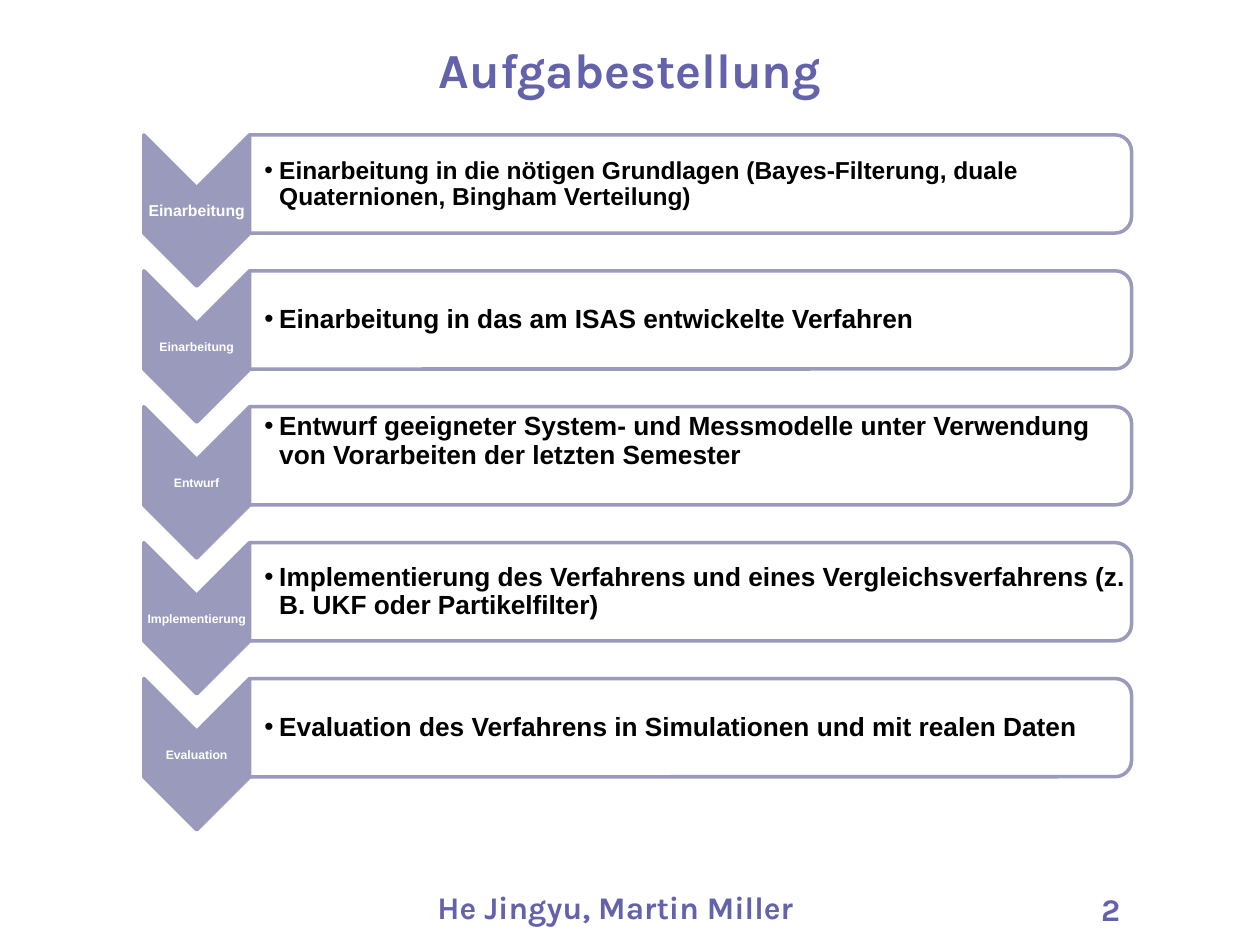
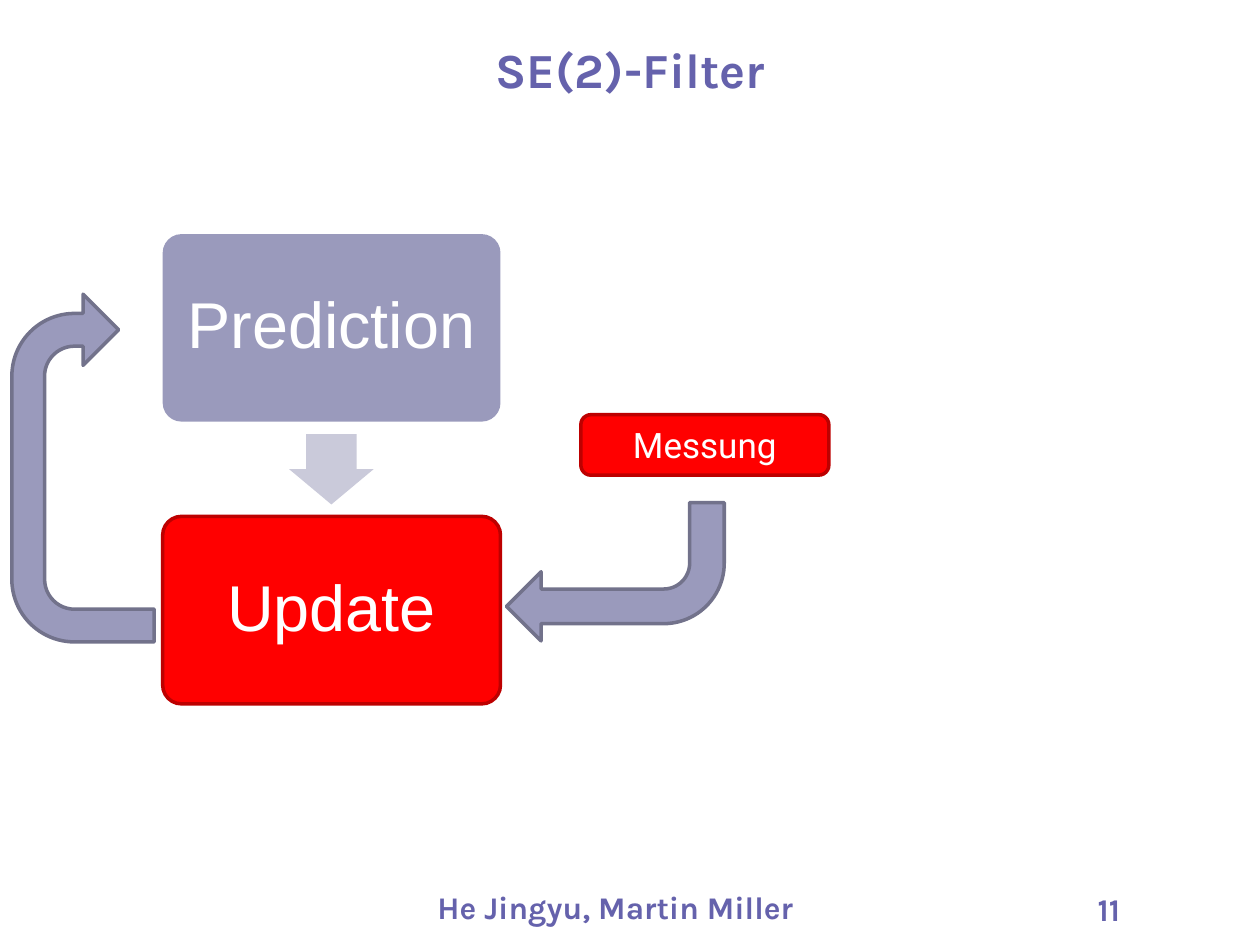
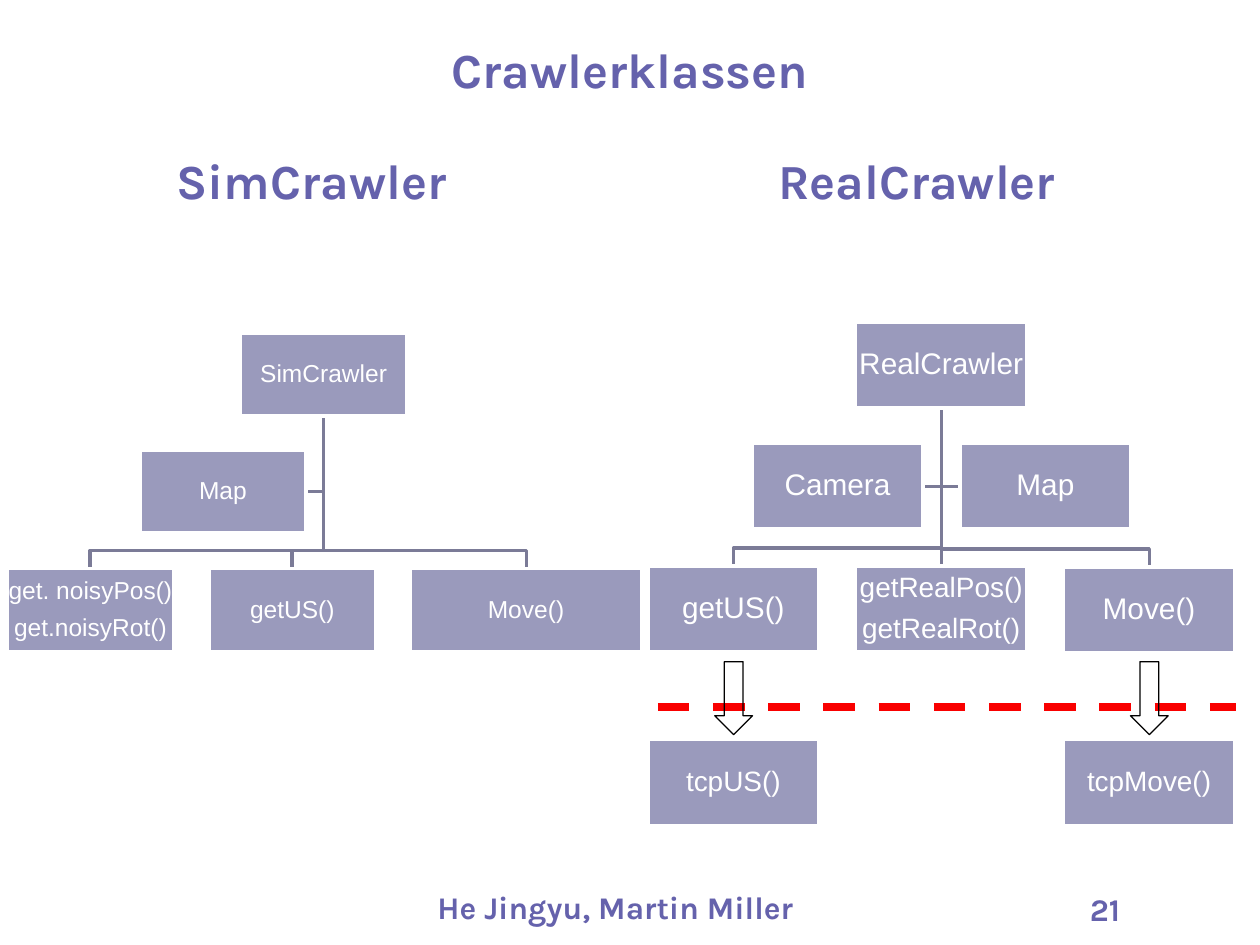
from lxml import etree
from pptx import Presentation
from pptx import util as u
from pptx.dml.color import RGBColor
from pptx.enum import dml, shapes, text
from pptx.oxml.ns import qn

VIOLET = RGBColor(0x65, 0x62, 0xAC)
LAVENDER = RGBColor(0x9A, 0x9A, 0xBC)
PALE = RGBColor(0xCA, 0xCA, 0xDA)
SLATE = RGBColor(0x72, 0x72, 0x8B)
LINK = RGBColor(0x7B, 0x7B, 0x97)
RED = RGBColor(0xFF, 0x00, 0x00)
DARK_RED = RGBColor(0xBD, 0x00, 0x00)
BORDER_RED = RGBColor(0xF9, 0x00, 0x00)
WHITE = RGBColor(0xFF, 0xFF, 0xFF)
BLACK = RGBColor(0x00, 0x00, 0x00)
OUTLINE = RGBColor(0x01, 0x00, 0x00)

SHAPE = shapes.MSO_SHAPE
TOP, MIDDLE = text.MSO_ANCHOR.TOP, text.MSO_ANCHOR.MIDDLE
LEFT, CENTER, RIGHT = text.PP_ALIGN.LEFT, text.PP_ALIGN.CENTER, text.PP_ALIGN.RIGHT

HEADING = {"name": "Karla", "size": u.Pt(28), "bold": True}
FOOTER = {"name": "Karla", "size": u.Pt(18), "bold": True}
AUTHORS = "He Jingyu, Martin Miller"
TITLE_BOX = (0, 0.53, 25.4, 1.6)

STEP_PITCH = 2.74
STEPS = [  # label, label size, task, task size, anchor
    ("Einarbeitung", 9, "Einarbeitung in die nötigen Grundlagen (Bayes-Filterung, "
     "duale Quaternionen, Bingham Verteilung)", 14, MIDDLE),
    ("Einarbeitung", 7, "Einarbeitung in das am ISAS entwickelte Verfahren", 15, MIDDLE),
    ("Entwurf", 7, "Entwurf geeigneter System- und Messmodelle unter Verwendung "
     "von Vorarbeiten der letzten Semester", 15, TOP),
    ("Implementierung", 7, "Implementierung des Verfahrens und eines "
     "Vergleichsverfahrens (z. B. UKF oder Partikelfilter)", 15, MIDDLE),
    ("Evaluation", 7, "Evaluation des Verfahrens in Simulationen und mit realen Daten",
     15, MIDDLE),
]


def cm(*values):
    return [u.Cm(v) for v in values]


def arial(size, bold=False):
    return {"name": "Arial", "size": u.Pt(size), "bold": bold}


def write(tf, lines, font, color, align=CENTER, anchor=MIDDLE, inset=None, spacing=0.9):
    """Fill a text frame, one paragraph per line; inset is left, top, right, bottom."""
    tf.word_wrap = True
    tf.auto_size = text.MSO_AUTO_SIZE.NONE
    tf.vertical_anchor = anchor
    if inset:
        for side, value in zip(("left", "top", "right", "bottom"), inset):
            setattr(tf, f"margin_{side}", u.Cm(value))
    for i, line in enumerate(lines):
        p = tf.add_paragraph() if i else tf.paragraphs[0]
        p.alignment = align
        p.line_spacing = spacing
        if i:
            p.space_before = u.Pt(6)
        r = p.add_run()
        r.text = line
        for key, value in font.items():
            setattr(r.font, key, value)
        r.font.color.rgb = color


def add_text(s, box, line, font, color, **layout):
    tf = s.shapes.add_textbox(*cm(*box)).text_frame
    write(tf, [line], font, color, **layout)
    return tf


def add_bullet(p, indent):
    ppr = p._p.get_or_add_pPr()
    ppr.set("marL", str(u.Cm(indent)))
    ppr.set("indent", str(-u.Cm(indent)))
    etree.SubElement(ppr, qn("a:buFont"), typeface="Arial")
    etree.SubElement(ppr, qn("a:buChar"), char="•")


def style_line(line, color, width):
    line.color.rgb = color
    line.width = u.Pt(width)


def add_shape(s, kind, box, fill=None, line=None, width=2, rotation=0, adj=()):
    sp = s.shapes.add_shape(kind, *cm(*box))
    sp.shadow.inherit = False
    sp.rotation = rotation
    for i, value in enumerate(adj):
        sp.adjustments[i] = value
    if fill is None:
        sp.fill.background()
    else:
        sp.fill.solid()
        sp.fill.fore_color.rgb = fill
    if line is None:
        sp.line.fill.background()
    else:
        style_line(sp.line, line, width)
    return sp


def add_line(s, start, end, color, width):
    c = s.shapes.add_connector(shapes.MSO_CONNECTOR.STRAIGHT, *cm(*start, *end))
    etree.SubElement(c._element.spPr, qn("a:effectLst"))
    style_line(c.line, color, width)
    return c


def add_link(s, points):
    """Draw a bent tree link, or a straight one when all points share one x."""
    if len({x for x, _ in points}) == 1:
        add_line(s, points[0], points[-1], LINK, 2)
        return
    pts = [cm(*point) for point in points]
    builder = s.shapes.build_freeform(*pts[0])
    builder.add_line_segments(pts[1:], close=False)
    sp = builder.convert_to_shape()
    sp.shadow.inherit = False
    sp.fill.background()
    style_line(sp.line, LINK, 2)


def add_node(s, lines, size, box):
    sp = add_shape(s, SHAPE.RECTANGLE, box, LAVENDER, WHITE)
    write(sp.text_frame, lines, arial(size), WHITE, inset=(0, 0, 0, 0))


def add_tree(s, root, assistants, children):
    """Each node is (lines, size, box); links run behind the nodes."""
    left, top, width, height = root[2]
    trunk, base = round(left + width / 2, 2), top + height
    for _, _, (l, t, w, h) in assistants:
        y = t + h / 2
        edge = l if l > trunk else l + w
        add_link(s, [(trunk, base), (trunk, y), (edge, y)])
    for _, _, (l, t, w, h) in children:
        x, bus = round(l + w / 2, 2), t - 0.36
        add_link(s, [(trunk, base), (trunk, bus), (x, bus), (x, t)])
    for node in [root, *children, *assistants]:
        add_node(s, *node)


def add_step(s, i, label, label_size, task, task_size, anchor):
    dy = i * STEP_PITCH
    add_shape(s, SHAPE.CHEVRON, (2.44, 3.18 + dy, 3.05, 2.13), LAVENDER, LAVENDER,
              rotation=90)
    add_text(s, (2.9, 3.81 + dy, 2.13, 0.91), label, arial(label_size, True), WHITE,
             inset=(0, 0, 0, 0))
    add_shape(s, SHAPE.ROUND_2_SAME_RECTANGLE, (12.93, -5.18 + dy, 1.98, 17.78),
              WHITE, LAVENDER, rotation=90)
    tf = add_text(s, (5.03, 2.82 + dy, 17.7, 1.8), task, arial(task_size, True), BLACK,
                  align=LEFT, anchor=anchor, inset=(0.3, 0.03, 0.03, 0.03))
    add_bullet(tf.paragraphs[0], 0.3)


def add_slide(prs, title, number):
    s = prs.slides.add_slide(prs.slide_layouts[5])
    sp = s.shapes.title
    sp.left, sp.top, sp.width, sp.height = cm(*TITLE_BOX)
    write(sp.text_frame, [title], HEADING, VIOLET, spacing=1.1)
    add_text(s, (3.91, 17.78, 16.99, 1.02), AUTHORS, FOOTER, VIOLET, anchor=TOP, spacing=1.0)
    add_text(s, (20.7, 17.81, 2.13, 1.32), str(number), FOOTER, VIOLET,
             align=RIGHT, anchor=TOP, spacing=1.0)
    return s


def build_tasks(prs):
    s = add_slide(prs, "Aufgabestellung", 2)
    for i, step in enumerate(STEPS):
        add_step(s, i, *step)


def build_filter(prs):
    s = add_slide(prs, "SE(2)-Filter", 11)
    measurement = add_shape(s, SHAPE.ROUNDED_RECTANGLE, (11.71, 8.36, 5, 1.22), RED, DARK_RED)
    write(measurement.text_frame, ["Messung"], {"name": "Roboto", "size": u.Pt(20)}, WHITE,
          spacing=1.0)
    add_shape(s, SHAPE.BENT_ARROW, (10.21, 10.13, 4.39, 2.79), LAVENDER, SLATE, rotation=180)
    for name, top, fill, line in (("Prediction", 4.72, LAVENDER, None),
                                  ("Update", 10.41, RED, DARK_RED)):
        sp = add_shape(s, SHAPE.ROUNDED_RECTANGLE, (3.28, top, 6.81, 3.78), fill, line,
                       adj=[0.1])
        write(sp.text_frame, [name], arial(37), WHITE, inset=(0.38, 0.38, 0.38, 0.38))
    add_shape(s, SHAPE.RIGHT_ARROW, (5.97, 8.61, 1.42, 1.7), PALE, rotation=90,
              adj=[0.6, 0.5])
    add_shape(s, SHAPE.U_TURN_ARROW, (-1.83, 8, 7.01, 2.87), LAVENDER, SLATE, rotation=270,
              adj=[0.23, 0.25, 0.25, 0.44, 0.75])


def build_classes(prs):
    s = add_slide(prs, "Crawlerklassen", 21)
    for name, left in (("SimCrawler", 0.5), ("RealCrawler", 12.7)):
        add_text(s, (left, 2.77, 11.56, 1.6), name, HEADING, VIOLET, spacing=1.1)

    sim = (3.35, 1.68)
    add_tree(s, (["SimCrawler"], 14, (4.85, 6.71, *sim)),
             [(["Map"], 14, (2.82, 9.07, *sim))],
             [(["get. noisyPos()", "get.noisyRot()"], 14, (0.15, 11.46, *sim)),
              (["getUS()"], 14, (4.22, 11.46, *sim)),
              (["Move()"], 14, (8.28, 11.46, 4.65, 1.68))])

    real = (3.45, 1.73)
    first, second, third = (13.06 + 4.19 * i for i in range(3))
    add_tree(s, (["RealCrawler"], 17, (second, 6.5, *real)),
             [(["Camera"], 17, (15.16, 8.94, *real)),
              (["Map"], 17, (19.35, 8.94, *real))],
             [(["getUS()"], 17, (first, 11.41, *real)),
              (["getRealPos()", "getRealRot()"], 16, (second, 11.41, *real)),
              (["Move()"], 17, (third, 11.43, *real))])

    for name, left in (("tcpUS()", first), ("tcpMove()", third)):
        add_node(s, [name], 16, (left, 14.91, *real))
    border = add_line(s, (13.26, 14.25), (24.92, 14.25), BORDER_RED, 4.5)
    border.line.dash_style = dml.MSO_LINE.DASH
    for left in (first, third):
        add_shape(s, SHAPE.DOWN_ARROW, (left + 1.35, 13.34, 0.76, 1.47),
                  line=OUTLINE, width=0.75)


def main():
    prs = Presentation()
    prs.slide_width, prs.slide_height = cm(25.4, 19.05)
    build_tasks(prs)
    build_filter(prs)
    build_classes(prs)
    prs.save("out.pptx")


if __name__ == "__main__":
    main()
